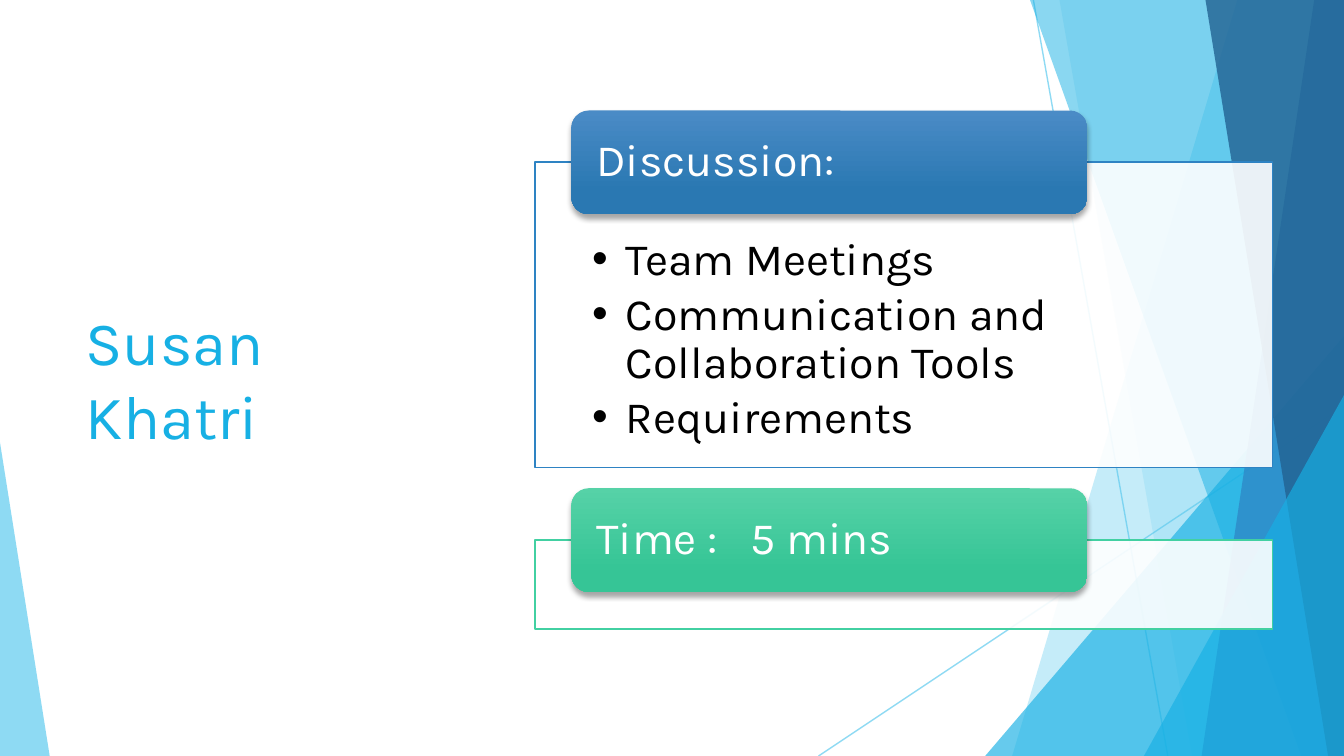
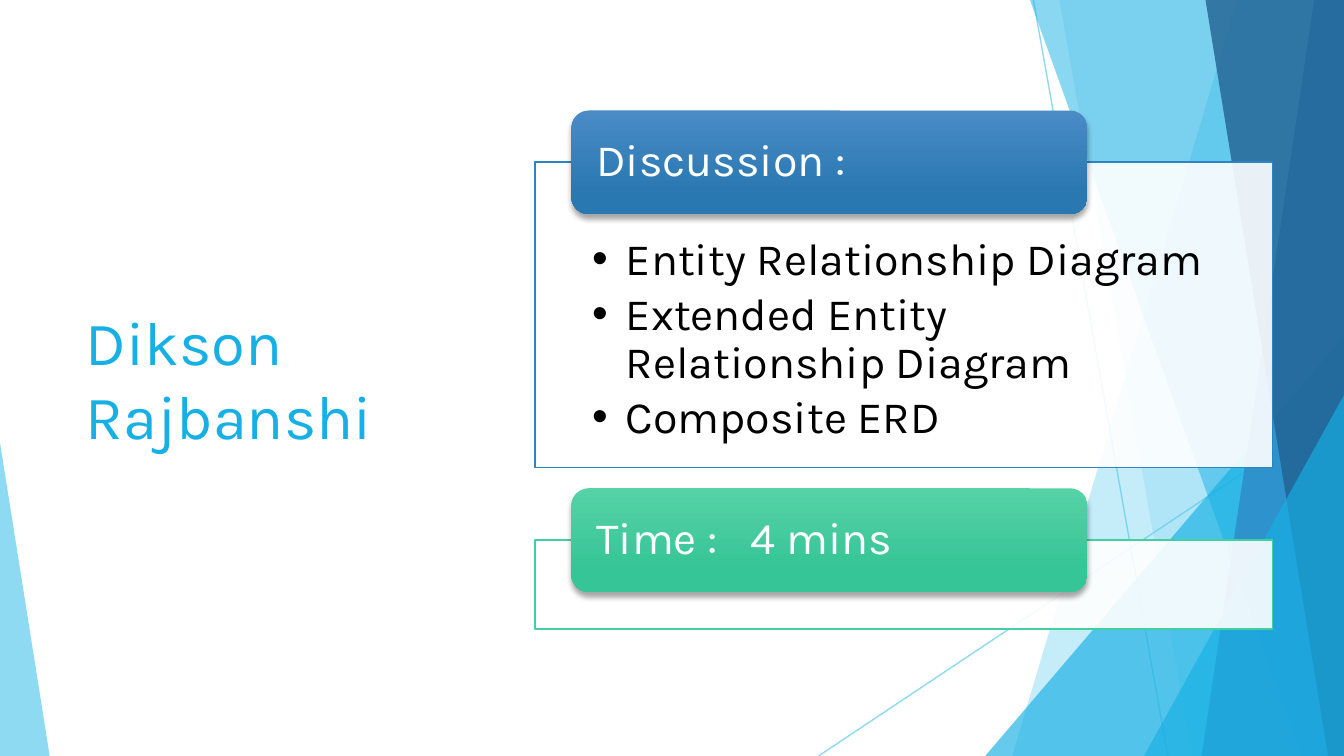
from copy import deepcopy
from dataclasses import dataclass

from lxml.etree import SubElement
from pptx import Presentation
from pptx.dml.color import RGBColor
from pptx.enum.shapes import MSO_CONNECTOR, MSO_SHAPE
from pptx.enum.text import MSO_ANCHOR, MSO_AUTO_SIZE, PP_ALIGN
from pptx.oxml.ns import qn
from pptx.slide import Slide, SlideLayout
from pptx.util import Cm, Pt

# Shared sizes (cm), font and colours
WIDE, HIGH = 25.4, 14.29
FONT = "Karla"
SKY, CYAN, BLUE, NAVY = "5FCBEF", "17B0E4", "2E83C3", "226292"
GREEN, WHITE, BLACK = "42D0A2", "FFFFFF", "000000"
LEFT, SPAN = 10.11, 13.94
TAB_LEFT, TAB_WIDE, TAB_HIGH, TAB_PAD = 10.8, 9.75, 1.96, 0.09


@dataclass
class Ray:
    start: tuple[float, float]
    end: tuple[float, float]


@dataclass
class Band:
    """Runs from the top edge to the bottom edge, out to the right side."""
    top: float
    base: float
    color: str
    alpha: int


@dataclass
class Wedge:
    """A right triangle that stands on the bottom edge."""
    left: float
    top: float
    width: float
    lean: int
    color: str
    alpha: int


@dataclass
class Panel:
    top: float
    height: float
    edge: str
    light: str
    dark: str


@dataclass
class Talk:
    name: str
    head: str
    points: list[str]
    time: str


RAYS = [Ray((19.53, 0), (22.07, HIGH)), Ray((WIDE, 7.67), (15.47, HIGH))]
FACETS = [
    Band(23.39, 19.13, SKY, 36),
    Band(20.02, 22.53, SKY, 20),
    Wedge(18.62, 6.35, 6.78, 1, CYAN, 66),
    Band(19.46, 24.59, CYAN, 50),
    Band(24.84, 22.71, BLUE, 70),
    Band(22.78, 25.1, NAVY, 80),
    Wedge(21.62, 7.47, 3.78, 1, CYAN, 66),
    Wedge(0, 8.36, 0.94, 0, SKY, 70),
]
TOPIC = Panel(3.07, 5.77, BLUE, "4A8BC6", "2A78B2")
CLOCK = Panel(10.21, 1.68, GREEN, "56D2A7", "36C596")
TALKS = [
    Talk("Susan \vKhatri", "Discussion:",
         ["Team Meetings", "Communication and Collaboration Tools",
          "Requirements"], "Time : \t5 mins"),
    Talk("Dikson Rajbanshi", "Discussion :",
         ["Entity Relationship Diagram",
          "Extended Entity Relationship Diagram", "Composite ERD"],
         "Time : \t4 mins"),
]


def tint(code: str) -> RGBColor:
    return RGBColor.from_string(code)


def fade(shape, alpha: int) -> None:
    for node in shape.element.iter(qn("a:srgbClr")):
        SubElement(node, qn("a:alpha"), val=str(alpha * 1000))


def fill(shape, color: str, alpha: int) -> None:
    shape.shadow.inherit = False
    shape.fill.solid()
    shape.fill.fore_color.rgb = tint(color)
    fade(shape, alpha)
    shape.line.fill.background()


def place(shape, left: float, top: float, width: float, height: float) -> None:
    shape.left, shape.top = Cm(left), Cm(top)
    shape.width, shape.height = Cm(width), Cm(height)


def write(shape, lines: list[str], *, size: float = 24, color: str = BLACK,
          anchor: MSO_ANCHOR = MSO_ANCHOR.MIDDLE, pitch: float = 0.9,
          after: float = 0, pads: tuple = (0.38, 0, 0.38, 0),
          bullet: str = "", tab: float = 0) -> None:
    frame = shape.text_frame
    frame.word_wrap = True
    frame.auto_size = MSO_AUTO_SIZE.NONE
    frame.vertical_anchor = anchor
    (frame.margin_left, frame.margin_top,
     frame.margin_right, frame.margin_bottom) = map(Cm, pads)
    for i, line in enumerate(lines):
        para = frame.paragraphs[0] if i == 0 else frame.add_paragraph()
        para.text = line
        para.alignment = PP_ALIGN.LEFT
        props = para._p.get_or_add_pPr()
        if bullet:
            para.level = 1
            props.set("marL", str(Cm(0.64)))
            props.set("indent", str(-Cm(0.64)))
            SubElement(props, qn("a:buChar"), char=bullet)
        if tab:
            stops = SubElement(props, qn("a:tabLst"))
            SubElement(stops, qn("a:tab"), pos=str(Cm(tab)), algn="l")
        para.line_spacing = pitch
        para.space_before, para.space_after = Pt(0), Pt(after)
        for run in para.runs:
            run.font.name, run.font.size = FONT, Pt(size)
            run.font.color.rgb = tint(color)
        # A line break takes the format of the text around it
        for gap in para._p.findall(qn("a:br")):
            gap.append(deepcopy(para.runs[0].font._element))


def draw_ray(slide: Slide, ray: Ray):
    line = slide.shapes.add_connector(
        MSO_CONNECTOR.STRAIGHT, *map(Cm, ray.start + ray.end))
    line.line.color.rgb = tint(SKY)
    line.line.width = Pt(0.75)
    fade(line, 70)
    SubElement(line.element.spPr, qn("a:effectLst"))
    return line


def draw_facet(slide: Slide, facet: Band | Wedge):
    if isinstance(facet, Band):
        pen = slide.shapes.build_freeform(Cm(facet.top), Cm(-0.02), scale=1.0)
        ends = [(WIDE, -0.02), (WIDE, HIGH), (facet.base, HIGH)]
        pen.add_line_segments([(Cm(x), Cm(y)) for x, y in ends], close=True)
        shape = pen.convert_to_shape()
    else:
        shape = slide.shapes.add_shape(
            MSO_SHAPE.ISOSCELES_TRIANGLE, Cm(facet.left), Cm(facet.top),
            Cm(facet.width), Cm(HIGH - facet.top))
        shape.adjustments[0] = facet.lean
    fill(shape, facet.color, facet.alpha)
    return shape


def set_back(slide: Slide, layout: SlideLayout) -> None:
    """Put the rays and facets on the layout, in place of its footers."""
    for spot in list(layout.placeholders):
        if spot.placeholder_format.idx >= 10:
            spot.element.getparent().remove(spot.element)
    parts = [draw_ray(slide, ray) for ray in RAYS]
    parts += [draw_facet(slide, facet) for facet in FACETS]
    for part in parts:
        layout.shapes.element.append(part.element)


def draw_frame(slide: Slide, panel: Panel) -> None:
    box = slide.shapes.add_shape(
        MSO_SHAPE.RECTANGLE, Cm(LEFT), Cm(panel.top), Cm(SPAN),
        Cm(panel.height))
    fill(box, WHITE, 90)
    box.line.color.rgb = tint(panel.edge)
    box.line.width = Pt(1)


def draw_tab(slide: Slide, panel: Panel, text: str, tab: float = 0) -> None:
    top = panel.top - TAB_HIGH / 2
    plate = slide.shapes.add_shape(
        MSO_SHAPE.ROUNDED_RECTANGLE, Cm(TAB_LEFT), Cm(top), Cm(TAB_WIDE),
        Cm(TAB_HIGH))
    plate.fill.gradient()
    plate.fill.gradient_angle = 270
    stops = zip(plate.fill.gradient_stops, (0, 0.78), (panel.light, panel.dark))
    for stop, spot, color in stops:
        stop.position = spot
        stop.color.rgb = tint(color)
    plate.line.fill.background()
    # Soft shadow below the plate
    plate.shadow.inherit = False
    glow = SubElement(
        plate.element.spPr.find(qn("a:effectLst")), qn("a:outerShdw"),
        blurRad=str(Pt(3)), dist=str(Pt(2)), dir="5400000", rotWithShape="0")
    shade = SubElement(glow, qn("a:srgbClr"), val=BLACK)
    SubElement(shade, qn("a:alpha"), val="35000")
    label = slide.shapes.add_textbox(
        Cm(TAB_LEFT + TAB_PAD), Cm(top + TAB_PAD),
        Cm(TAB_WIDE - 2 * TAB_PAD), Cm(TAB_HIGH - 2 * TAB_PAD))
    write(label, [text], color=WHITE, tab=tab)


def fill_slide(slide: Slide, talk: Talk) -> None:
    # Speaker
    title = slide.shapes.title
    place(title, 1.37, 2.87, 7.39, 8.53)
    write(title, [talk.name], size=33, color=CYAN, pitch=1,
          pads=(0.25, 0.13, 0.25, 0.13))
    # Topics, with the list in front of its frame
    draw_frame(slide, TOPIC)
    body = slide.placeholders[1]
    slide.shapes.element.append(body.element)
    place(body, LEFT, TOPIC.top, SPAN, TOPIC.height)
    write(body, talk.points, anchor=MSO_ANCHOR.TOP, after=3.6, bullet="•",
          pads=(1.08, 1.4, 1.08, 0.48))
    draw_tab(slide, TOPIC, talk.head)
    # Time
    draw_frame(slide, CLOCK)
    draw_tab(slide, CLOCK, talk.time, tab=2.92)


def main() -> None:
    deck = Presentation()
    deck.slide_width, deck.slide_height = Cm(WIDE), Cm(HIGH)
    layout = deck.slide_layouts[1]
    slides = [deck.slides.add_slide(layout) for _ in TALKS]
    set_back(slides[0], layout)
    for slide, talk in zip(slides, TALKS):
        fill_slide(slide, talk)
    deck.save("out.pptx")


if __name__ == "__main__":
    main()
